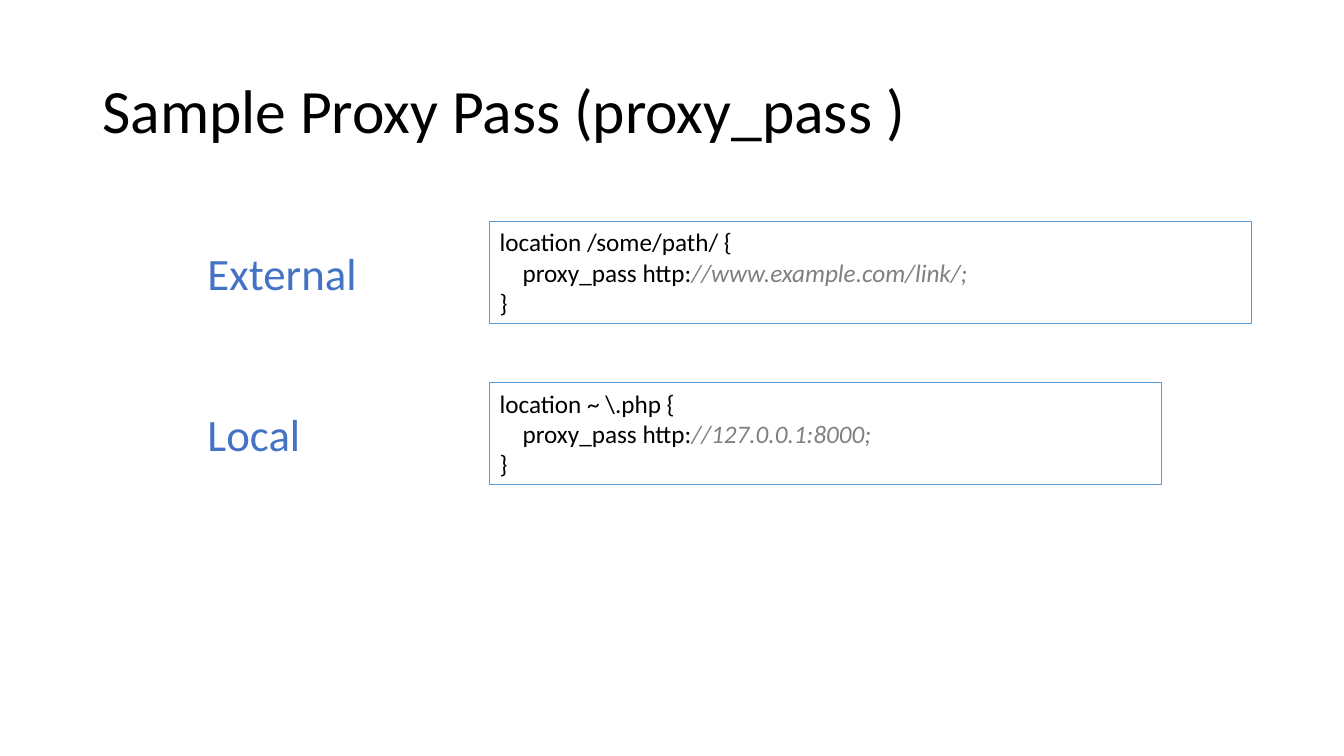
import pptx
import pptx.util
import pptx.dml.color
import pptx.enum.shapes
import pptx.enum.text

Cm, Pt = pptx.util.Cm, pptx.util.Pt
ANCHOR = pptx.enum.text.MSO_ANCHOR

# Content
HEADING = "Sample Proxy Pass (proxy_pass )"
# label, label width, code width, opening line, directive, target
SAMPLES = [
    ("External", 4.32, 19.2, "location /some/path/ {",
     "proxy_pass http:", "//www.example.com/link/;"),
    ("Local", 2.87, 16.94, "location ~ \\.php {",
     "proxy_pass http:", "//127.0.0.1:8000;"),
]

# Formats
HEADING_FONT = {"size": Pt(44), "color": "000000"}
LABEL_FONT = {"size": Pt(32), "color": "4472C4"}
CODE_FONT = {"size": Pt(18), "color": "000000"}
TARGET_FONT = {"size": Pt(18), "color": "808080", "italic": True}
BORDER = "5B9BD5"

# Layout in centimetres
LABEL_LEFT, LABEL_HEIGHT, LABEL_DROP = 4.98, 1.63, 0.48
CODE_LEFT, CODE_TOP, CODE_HEIGHT, CODE_PITCH = 12.34, 5.59, 2.57, 4.06
CODE_INDENT = 0.58


def rgb(value):
    return pptx.dml.color.RGBColor.from_string(value)


def add_run(paragraph, text, font_format):
    run = paragraph.add_run()
    run.text = text
    run.font.name = "Calibri"
    for key, value in font_format.items():
        if key == "color":
            run.font.color.rgb = rgb(value)
        else:
            setattr(run.font, key, value)


def add_text(slide, box, text, font_format, frame_format):
    frame = slide.shapes.add_textbox(*map(Cm, box)).text_frame
    for key, value in frame_format.items():
        setattr(frame, key, value)
    add_run(frame.paragraphs[0], text, font_format)
    return frame


def add_code(slide, box, lines):
    block = slide.shapes.add_shape(
        pptx.enum.shapes.MSO_SHAPE.RECTANGLE, *map(Cm, box))
    block.shadow.inherit = False
    block.fill.background()
    block.line.color.rgb = rgb(BORDER)
    block.line.width = Pt(0.75)
    frame = block.text_frame
    frame.word_wrap = True
    frame.vertical_anchor = ANCHOR.TOP
    for number, (indent, runs) in enumerate(lines):
        paragraph = frame.add_paragraph() if number else frame.paragraphs[0]
        paragraph.alignment = pptx.enum.text.PP_ALIGN.LEFT
        paragraph._p.get_or_add_pPr().set("marL", str(Cm(indent)))
        for text, font_format in runs:
            add_run(paragraph, text, font_format)


def main():
    deck = pptx.Presentation()
    deck.slide_width, deck.slide_height = Cm(33.87), Cm(19.05)
    slide = deck.slides.add_slide(deck.slide_layouts[6])

    # Heading
    heading = add_text(slide, (2.33, 1.02, 29.21, 3.68), HEADING, HEADING_FONT,
                       {"word_wrap": True, "vertical_anchor": ANCHOR.MIDDLE})
    heading.paragraphs[0].line_spacing = 0.9

    # One row per sample: code block and its label
    for row, sample in enumerate(SAMPLES):
        label, label_width, code_width, opening, directive, target = sample
        top = CODE_TOP + row * CODE_PITCH
        add_code(slide, (CODE_LEFT, top, code_width, CODE_HEIGHT), [
            (0, [(opening, CODE_FONT)]),
            (CODE_INDENT, [(directive, CODE_FONT), (target, TARGET_FONT)]),
            (0, [("}", CODE_FONT)]),
        ])
        add_text(slide, (LABEL_LEFT, top + LABEL_DROP, label_width, LABEL_HEIGHT),
                 label, LABEL_FONT, {"word_wrap": False})

    deck.save("out.pptx")


if __name__ == "__main__":
    main()
